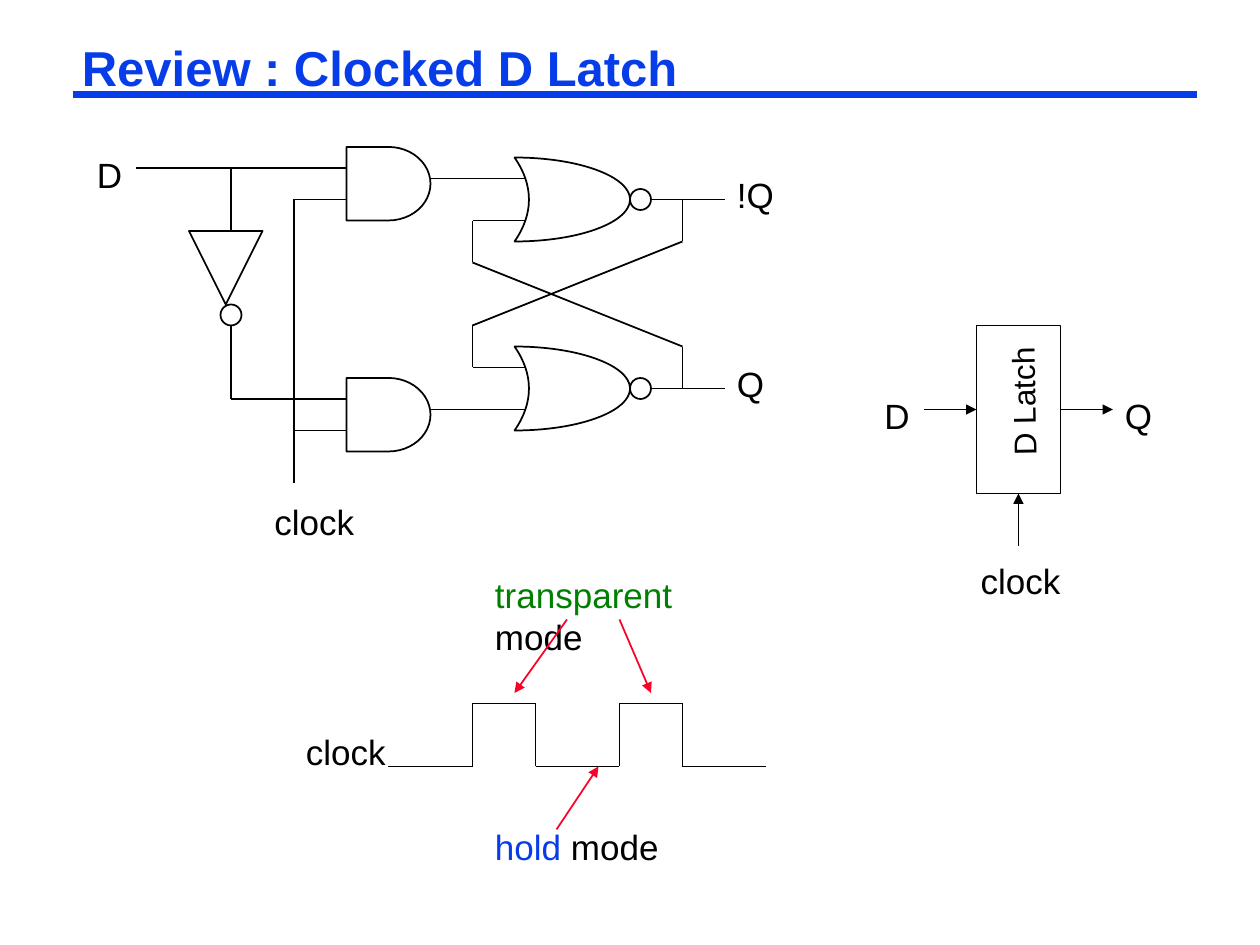
from dataclasses import dataclass
from itertools import pairwise

from lxml.etree import SubElement
from pptx import Presentation
from pptx.dml.color import RGBColor
from pptx.enum.shapes import MSO_CONNECTOR, MSO_SHAPE
from pptx.enum.text import MSO_ANCHOR, MSO_AUTO_SIZE, PP_ALIGN
from pptx.oxml.ns import qn
from pptx.util import Inches, Pt


@dataclass(frozen=True)
class Theme:
    font: str = "Arial"
    ink: str = "000000"
    blue: str = "063DE8"
    green: str = "008000"
    red: str = "FC0128"
    title: int = 28
    label: int = 20
    block: int = 18
    thin: float = 1
    thick: float = 4.5


THEME = Theme()


def grid(n):
    """The drawing sits on a grid of twelfths of an inch."""
    return Inches(n / 12)


def style_run(r, color=THEME.ink, size=THEME.label, bold=False):
    fmt = {"name": THEME.font, "size": Pt(size), "bold": bold}
    for key, value in fmt.items():
        setattr(r.font, key, value)
    r.font.color.rgb = RGBColor.from_string(color)


def add_title(s, text):
    sp = s.shapes.title
    box = {"left": Inches(0.58), "top": Inches(0.33),
           "width": Inches(8.92), "height": Inches(0.46)}
    for key, value in box.items():
        setattr(sp, key, value)
    tf = sp.text_frame
    frame = {"margin_left": Inches(0.07), "margin_right": Inches(0.07),
             "margin_top": Inches(0.03), "margin_bottom": Inches(0.03),
             "auto_size": MSO_AUTO_SIZE.NONE, "vertical_anchor": MSO_ANCHOR.TOP}
    for key, value in frame.items():
        setattr(tf, key, value)
    p = tf.paragraphs[0]
    p.alignment, p.line_spacing = PP_ALIGN.LEFT, 0.87
    r = p.add_run()
    r.text = text
    style_run(r, THEME.blue, THEME.title, True)


def add_label(s, runs, left, top, width, height=0.43, size=THEME.label,
              align=PP_ALIGN.LEFT, wrap=False):
    sp = s.shapes.add_textbox(Inches(left), Inches(top), Inches(width), Inches(height))
    tf = sp.text_frame
    tf.word_wrap = wrap
    p = tf.paragraphs[0]
    p.alignment = align
    for text, color in runs:
        r = p.add_run()
        r.text = text
        style_run(r, color, size)
    return sp


def add_outline(s, kind, x, y, w, h, rotation=0):
    sp = s.shapes.add_shape(kind, grid(x), grid(y), grid(w), grid(h))
    sp.shadow.inherit = False
    sp.fill.background()
    sp.line.color.rgb = RGBColor.from_string(THEME.ink)
    sp.line.width = Pt(THEME.thin)
    sp.rotation = rotation
    return sp


def add_line(s, start, end, color=THEME.ink, width=THEME.thin, arrow=False):
    cx = s.shapes.add_connector(MSO_CONNECTOR.STRAIGHT, *map(grid, start + end))
    cx.line.color.rgb = RGBColor.from_string(color)
    cx.line.width = Pt(width)
    if arrow:
        SubElement(cx.line._get_or_add_ln(), qn("a:tailEnd"), type="triangle")
    SubElement(cx._element.spPr, qn("a:effectLst"))
    return cx


def add_wire(s, *points):
    for start, end in pairwise(points):
        add_line(s, start, end)


def add_circuit(s):
    # Gates: one AND and one NOR in each half
    for and_top, nor_top in ((14, 15), (36, 33)):
        add_outline(s, MSO_SHAPE.FLOWCHART_DELAY, 33, and_top, 8, 7)
        nor = add_outline(s, MSO_SHAPE.MOON, 49, nor_top, 11, 8, 180)
        nor.adjustments[0] = 0.875
        add_outline(s, MSO_SHAPE.OVAL, 60, nor_top + 3, 2, 2)
        add_wire(s, (62, nor_top + 4), (69, nor_top + 4))
    add_wire(s, (41, 17), (50, 17))
    add_wire(s, (41, 39), (50, 39))

    # Cross-coupled feedback
    add_wire(s, (50, 21), (45, 21), (45, 25), (65, 33), (65, 37))
    add_wire(s, (50, 35), (45, 35), (45, 31), (65, 23), (65, 19))

    # Data input and its inverter
    add_wire(s, (13, 16), (33, 16))
    add_wire(s, (22, 16), (22, 22))
    add_outline(s, MSO_SHAPE.ISOSCELES_TRIANGLE, 18, 22, 7, 7, 180)
    add_outline(s, MSO_SHAPE.OVAL, 21, 29, 2, 2)
    add_wire(s, (22, 31), (22, 38), (33, 38))

    # Clock input
    add_wire(s, (33, 19), (28, 19), (28, 46))
    add_wire(s, (28, 41), (33, 41))

    # Input and output names
    for text, left, top, width in (("D", 0.67, 1.17, 0.4), ("!Q", 5.75, 1.33, 0.55),
                                   ("Q", 5.75, 2.83, 0.42), ("clock", 2.08, 3.92, 0.84)):
        add_label(s, [(text, THEME.ink)], left, top, width, align=PP_ALIGN.LEFT,
                  wrap=text == "!Q")


def add_block_symbol(s):
    block = add_outline(s, MSO_SHAPE.RECTANGLE, 93, 31, 8, 16)
    name = add_label(s, [("D Latch", THEME.ink)], 7.59, 2.99, 1.06, 0.4,
                     THEME.block, PP_ALIGN.CENTER)
    name.rotation = 269
    add_line(s, (88, 39), (93, 39), arrow=True).end_connect(block, 1)
    add_line(s, (97, 52), (97, 47), arrow=True).end_connect(block, 2)
    add_line(s, (101, 39), (106, 39), arrow=True).begin_connect(block, 3)
    add_label(s, [("D", THEME.ink)], 6.92, 3.08, 0.4)
    add_label(s, [("Q", THEME.ink)], 8.83, 3.08, 0.42)
    add_label(s, [("clock", THEME.ink)], 7.68, 4.39, 0.84, align=PP_ALIGN.CENTER)


def add_waveform(s):
    low, high = 73, 67
    points = [(37, low)]
    for rise, fall in ((45, 51), (59, 65)):
        points += [(rise, low), (rise, high), (fall, high), (fall, low)]
    add_wire(s, *points, (73, low))
    add_label(s, [("clock", THEME.ink)], 2.33, 5.75, 0.84)

    # Mode names and their pointers
    add_label(s, [("transparent", THEME.green), (" mode", THEME.ink)],
              3.83, 4.5, 2.3, wrap=True)
    add_label(s, [("hold", THEME.blue), (" mode", THEME.ink)], 3.83, 6.5, 1.5)
    for start, end in (((54, 59), (49, 66)), ((59, 59), (62, 66)), ((53, 79), (57, low))):
        add_line(s, start, end, THEME.red, arrow=True)


def main():
    prs = Presentation()
    prs.slide_width, prs.slide_height = Inches(10), Inches(7.5)
    s = prs.slides.add_slide(prs.slide_layouts[5])
    add_line(s, (7, 9), (114, 9), THEME.blue, THEME.thick)
    add_title(s, "Review : Clocked D Latch")
    add_block_symbol(s)
    add_circuit(s)
    add_waveform(s)
    prs.save("out.pptx")


if __name__ == "__main__":
    main()
